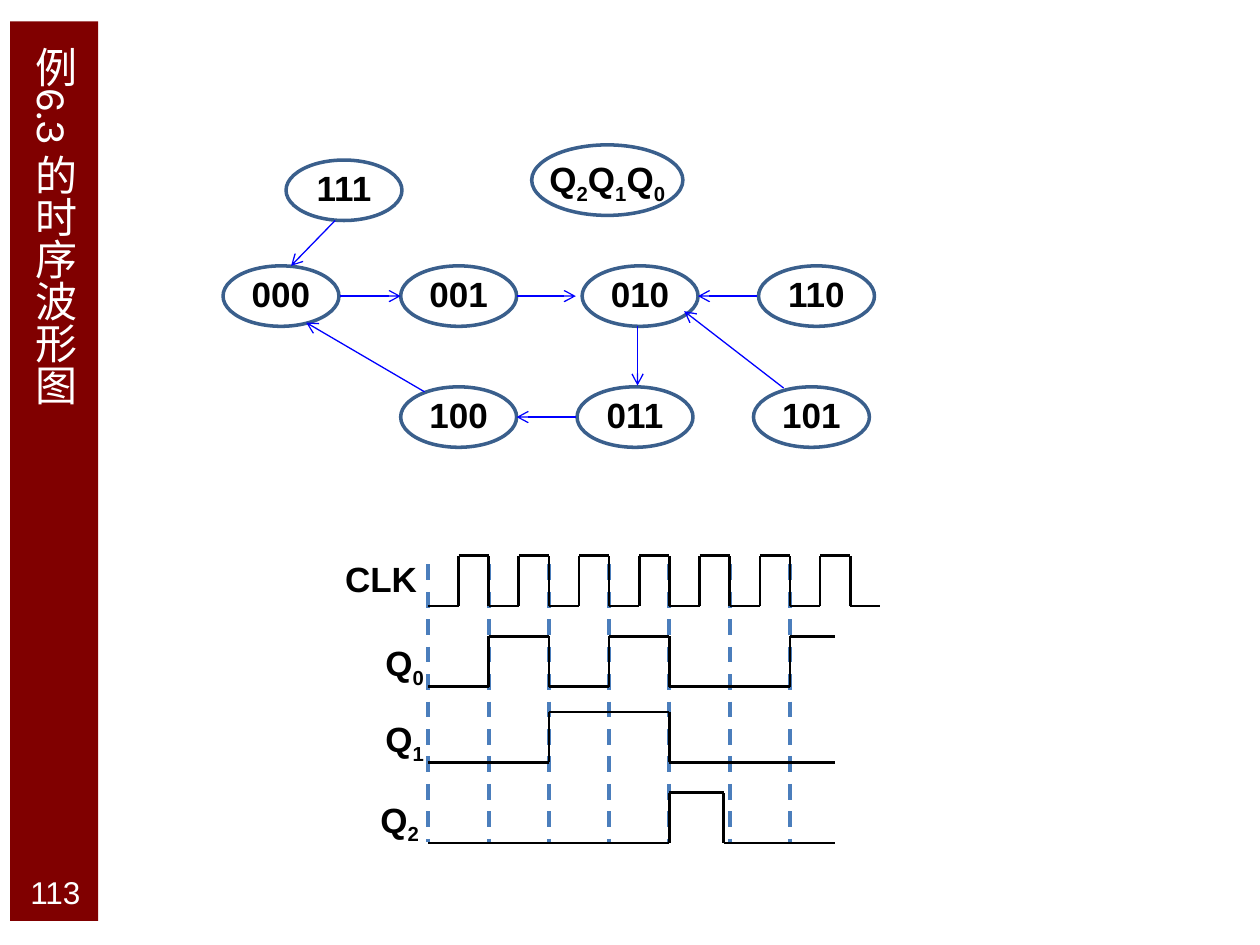
from pptx import Presentation
from pptx.dml.color import RGBColor
from pptx.enum.dml import MSO_LINE
from pptx.enum.shapes import MSO_CONNECTOR, MSO_SHAPE
from pptx.enum.text import MSO_ANCHOR, MSO_AUTO_SIZE, PP_ALIGN
from pptx.oxml.ns import qn
from pptx.util import Emu, Pt
from lxml.etree import SubElement

PX = 9144
MAROON = RGBColor(0x80, 0x00, 0x00)
WHITE = RGBColor(0xFF, 0xFF, 0xFF)
BLACK = RGBColor(0x00, 0x00, 0x00)
BLUE = RGBColor(0x00, 0x00, 0xFF)
OUTLINE = RGBColor(0x3A, 0x5F, 0x8C)
GUIDE = RGBColor(0x4B, 0x7E, 0xBC)

STATE_W, STATE_H = 92, 48
STATES = {
    "111": (50, 12), "000": (0, 96), "001": (141, 96), "010": (285, 96),
    "110": (425, 96), "100": (141, 192), "011": (281, 192), "101": (421, 192),
}
TRANSITIONS = [
    (89, 60, 54, 96), (93, 120, 141, 120), (233, 120, 280, 120),
    (424, 120, 377, 120), (329, 144, 329, 191), (445, 193, 366, 132),
    (280, 216, 233, 216), (160, 196, 66, 141),
]
SIGNALS = [
    ("CLK", 0, 0, [i / 2 for i in range(16)]),
    ("Q0", 32, 64, [0, 1, 2, 3, 4, 6, 6.75]),
    ("Q1", 32, 124, [0, 2, 4, 6.75]),
    ("Q2", 28, 188, [0, 4, 4.9, 6.75]),
]


def px(*lengths):
    """Turn px lengths into EMU."""
    return [Emu(round(length * PX)) for length in lengths]


def add_line(shapes, ends, color, width):
    """Draw a straight line without a shadow."""
    cxn = shapes.add_connector(MSO_CONNECTOR.STRAIGHT, *px(*ends))
    cxn.line.color.rgb = color
    cxn.line.width = Pt(width)
    SubElement(cxn._element.spPr, qn("a:effectLst"))
    return cxn


def add_arrow(shapes, ends):
    """Draw a blue line with an open arrowhead at its end."""
    cxn = add_line(shapes, ends, BLUE, 0.75)
    SubElement(cxn.line._get_or_add_ln(), qn("a:tailEnd"), type="arrow")


def add_run(p, text, size, color, font="Arial", bold=False):
    """Append one formatted run."""
    r = p.add_run()
    r.text = text
    r.font.name = font
    r.font.size = Pt(size)
    r.font.bold = bold
    r.font.color.rgb = color
    return r


def write_label(tf, text, align):
    """Write a bold label, with the digit after each Q lowered."""
    p = tf.paragraphs[0]
    p.alignment = align
    p.line_spacing = 0.9
    if "Q" not in text:
        add_run(p, text, 20, BLACK, bold=True)
        return
    for char in text:
        r = add_run(p, char, 20, BLACK, bold=True)
        if char.isdigit():
            r._r.get_or_add_rPr().set("baseline", "-25000")


def add_state(shapes, text, x, y, w, h):
    """Draw one labelled state ellipse."""
    sp = shapes.add_shape(MSO_SHAPE.OVAL, *px(x, y, w, h))
    sp.shadow.inherit = False
    sp.fill.background()
    sp.line.color.rgb = OUTLINE
    sp.line.width = Pt(2)
    tf = sp.text_frame
    tf.word_wrap = False
    tf.vertical_anchor = MSO_ANCHOR.MIDDLE
    tf.margin_left = tf.margin_right = tf.margin_top = tf.margin_bottom = 0
    write_label(tf, text, PP_ALIGN.CENTER)


def build_sidebar(slide, x, y, w, h):
    """Place the maroon band, vertical title and page number."""
    band = slide.shapes.add_shape(MSO_SHAPE.RECTANGLE, *px(x, y, w, h))
    band.shadow.inherit = False
    band.fill.solid()
    band.fill.fore_color.rgb = MAROON
    band.line.fill.background()
    slide.shapes._spTree.insert(2, band._element)

    title = slide.shapes.title
    title.left, title.top, title.width, title.height = px(x + 5, y + 15, w - 9, 590)
    tf = title.text_frame
    tf.auto_size = MSO_AUTO_SIZE.NONE
    tf.vertical_anchor = MSO_ANCHOR.MIDDLE
    tf._txBody.bodyPr.set("vert", "eaVert")
    p = tf.paragraphs[0]
    p.alignment = PP_ALIGN.LEFT
    add_run(p, "例6.3 的时序波形图", 24, WHITE, "Karla")

    number = slide.shapes.add_textbox(*px(x + 4, y + h - 41, w - 6, 35))
    tf = number.text_frame
    tf.word_wrap = True
    tf.vertical_anchor = MSO_ANCHOR.MIDDLE
    p = tf.paragraphs[0]
    p.alignment = PP_ALIGN.CENTER
    add_run(p, "113", 18, WHITE)


def build_state_diagram(slide, x, y):
    """Place the states, their legend and the transitions."""
    shapes = slide.shapes.add_group_shape().shapes
    for text, (dx, dy) in STATES.items():
        add_state(shapes, text, x + dx, y + dy, STATE_W, STATE_H)
    add_state(shapes, "Q2Q1Q0", x + 245, y, 120, 56)
    for x1, y1, x2, y2 in TRANSITIONS:
        add_arrow(shapes, (x + x1, y + y1, x + x2, y + y2))


def add_wave(shapes, edges, high, low):
    """Draw a square wave that starts low and toggles at each inner edge."""
    for i, (start, end) in enumerate(zip(edges, edges[1:])):
        level = high if i % 2 else low
        add_line(shapes, (start, level, end, level), BLACK, 1.5)
        if i:
            add_line(shapes, (start, low, start, high), BLACK, 1.5)


def build_timing_chart(slide, x, y):
    """Place the clock guides, signal labels and waveforms."""
    shapes = slide.shapes.add_group_shape().shapes
    period = 287 / 6
    origin = x + 76
    for i in range(7):
        tick = origin + i * period
        guide = add_line(shapes, (tick, y + 7, tick, y + 227), GUIDE, 2.25)
        guide.line.dash_style = MSO_LINE.DASH
    for name, dx, dy, ticks in SIGNALS:
        box = shapes.add_textbox(*px(x + dx, y + dy, 79 if name == "CLK" else 60, 40))
        box.text_frame.word_wrap = True
        write_label(box.text_frame, name, PP_ALIGN.LEFT)
        edges = [origin + t * period for t in ticks]
        add_wave(shapes, edges, y + dy, y + dy + 40)


def main():
    """Build and save the slide."""
    prs = Presentation()
    prs.slide_width, prs.slide_height = px(1000, 750)
    slide = prs.slides.add_slide(prs.slide_layouts[5])
    build_sidebar(slide, 8, 17, 70, 714)
    build_timing_chart(slide, 264, 441)
    build_state_diagram(slide, 177, 115)
    prs.save("out.pptx")


if __name__ == "__main__":
    main()
